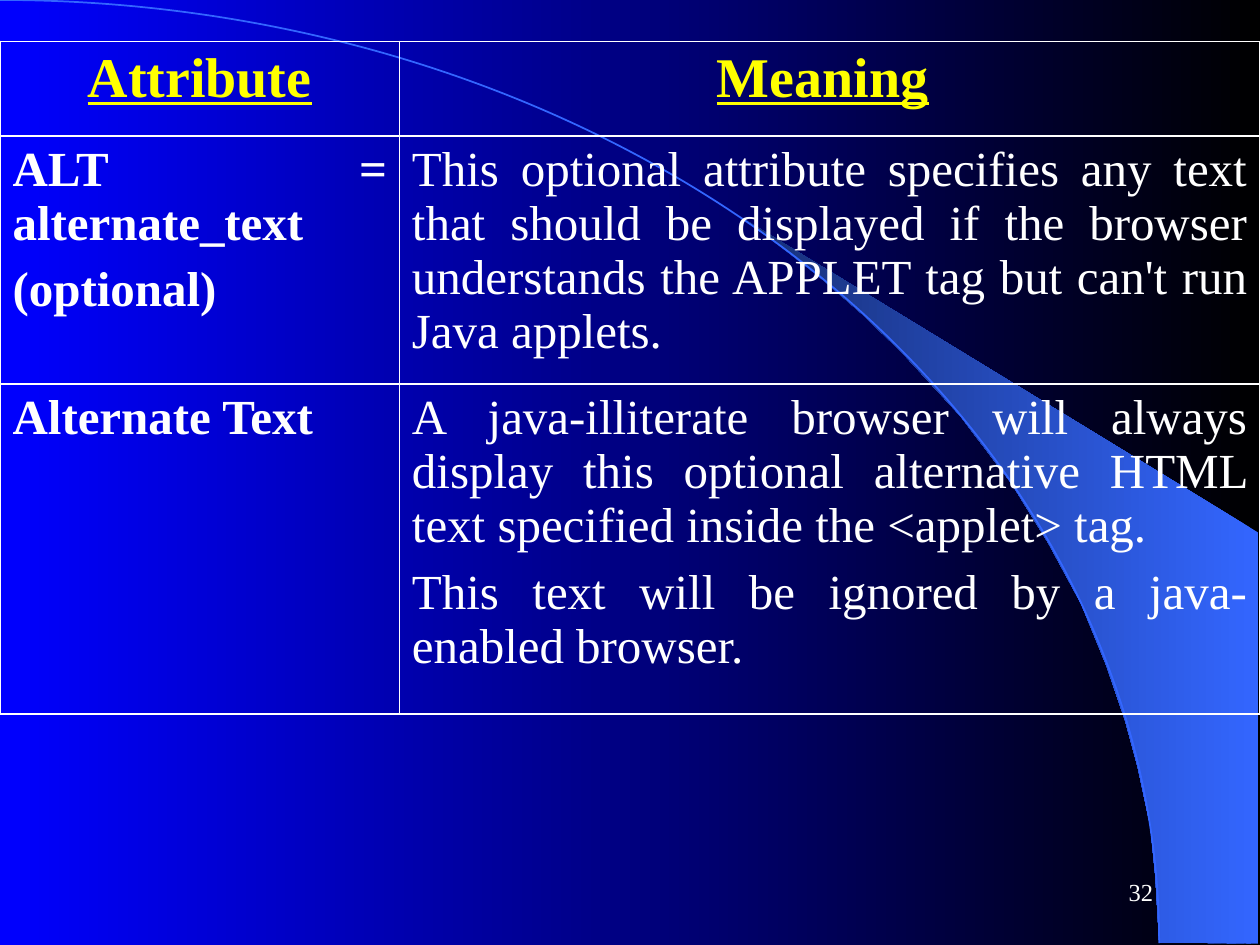
from dataclasses import dataclass

from lxml import etree
from pptx import Presentation
from pptx.dml.color import RGBColor
from pptx.enum.shapes import MSO_SHAPE
from pptx.enum.text import MSO_ANCHOR, PP_ALIGN
from pptx.oxml.ns import qn
from pptx.util import Inches, Pt

ARC = MSO_SHAPE.ARC
MIDDLE = MSO_ANCHOR.MIDDLE
CENTER, JUSTIFY, RIGHT = PP_ALIGN.CENTER, PP_ALIGN.JUSTIFY, PP_ALIGN.RIGHT

FONT = "Times New Roman"
WHITE, YELLOW, BLACK = "FFFFFF", "FFFF00", "000000"
BLUE, SKY, NAVY = "0000FF", "3366FF", "172F75"
OUTER, INNER = 1.08, 0.45

COLUMN_WIDTHS = (3.17, 6.83)
ROW_HEIGHTS = (0.75, 1.97, 2.62)
SWOOSH = (
    (9.2, 7.48), (9.99, 7.49), (9.99, 4.23), (5.89, 1.73), (6.24, 1.99),
    (6.53, 2.22), (6.85, 2.5), (7.16, 2.8), (7.62, 3.3), (8.03, 3.84),
    (8.32, 4.31), (8.58, 4.79), (8.78, 5.28), (8.93, 5.72), (9.03, 6.09),
    (9.13, 6.56), (9.17, 6.96),
)


@dataclass(frozen=True)
class Style:
    size: float
    color: str = WHITE
    bold: bool = False
    underline: bool = False
    align: PP_ALIGN = JUSTIFY
    space_before: float = 7


HEADING = Style(32, YELLOW, True, True, CENTER, 8)
HEADING_END = Style(32, WHITE, True, False, CENTER, 8)
TERM = Style(28, bold=True)
MEANING = Style(28)
PAGE_NUMBER = Style(14, align=RIGHT, space_before=0)


@dataclass(frozen=True)
class Span:
    text: str
    style: Style


Paragraphs = tuple[tuple[Span, ...], ...]


def lines(style: Style, *texts: str) -> Paragraphs:
    return tuple((Span(text, style),) for text in texts)


ROWS: tuple[tuple[Paragraphs, Paragraphs], ...] = (
    (
        lines(HEADING, "Attribute"),
        ((Span("Meaning", HEADING), Span(" ", HEADING_END)),),
    ),
    (
        lines(TERM, "ALT = alternate_text", "(optional)"),
        lines(
            MEANING,
            "This optional attribute specifies any text that should be displayed "
            "if the browser understands the APPLET tag but can't run Java applets. ",
        ),
    ),
    (
        lines(TERM, "Alternate Text"),
        lines(
            MEANING,
            "A java-illiterate browser will always display this optional "
            "alternative HTML text specified inside the <applet> tag.",
            "This text will be ignored by a java-enabled browser.",
        ),
    ),
)


def rgb(color: str) -> RGBColor:
    return RGBColor.from_string(color)


def fill_gradient(fill, start: str, end: str) -> None:
    fill.gradient()
    fill.gradient_angle = 180
    for stop, color in zip(fill.gradient_stops, (start, end)):
        stop.color.rgb = rgb(color)


def write(frame, paragraphs: Paragraphs) -> None:
    for index, spans in enumerate(paragraphs):
        paragraph = frame.add_paragraph() if index else frame.paragraphs[0]
        paragraph.alignment = spans[0].style.align
        paragraph.space_before = Pt(spans[0].style.space_before)
        for span in spans:
            run = paragraph.add_run()
            run.text = span.text
            run.font.name = FONT
            run.font.size = Pt(span.style.size)
            run.font.bold = span.style.bold
            run.font.underline = span.style.underline
            run.font.color.rgb = rgb(span.style.color)


def add_border(cell, side: str, width: float) -> None:
    properties = cell._tc.get_or_add_tcPr()
    border = etree.SubElement(properties, qn(f"a:ln{side}"), w=str(Pt(width)))
    solid = etree.SubElement(border, qn("a:solidFill"))
    etree.SubElement(solid, qn("a:srgbClr"), val=WHITE)


def draw_swoosh(slide) -> None:
    start, *rest = [(Inches(x), Inches(y)) for x, y in SWOOSH]
    builder = slide.shapes.build_freeform(*start)
    builder.add_line_segments(rest, close=True)
    swoosh = builder.convert_to_shape()
    swoosh.shadow.inherit = False
    fill_gradient(swoosh.fill, SKY, NAVY)
    swoosh.line.fill.background()


def draw_arc(slide) -> None:
    arc = slide.shapes.add_shape(
        ARC, Inches(-9.2), Inches(0), Inches(18.4), Inches(14.97)
    )
    arc.shadow.inherit = False
    arc.fill.background()
    arc.line.color.rgb = rgb(SKY)
    arc.line.width = Pt(1)


def draw_attributes(slide) -> None:
    attributes = slide.shapes.add_table(
        len(ROWS), len(COLUMN_WIDTHS), Inches(0), Inches(0.33),
        Inches(sum(COLUMN_WIDTHS)), Inches(sum(ROW_HEIGHTS)),
    ).table
    attributes.first_row = False
    attributes.horz_banding = False
    for column, width in zip(attributes.columns, COLUMN_WIDTHS):
        column.width = Inches(width)
    for row, height, entries in zip(attributes.rows, ROW_HEIGHTS, ROWS):
        row.height = Inches(height)
        for index, (cell, paragraphs) in enumerate(zip(row.cells, entries)):
            left, right = (INNER, OUTER) if index else (OUTER, INNER)
            for side, width in zip("LRTB", (left, right, OUTER, OUTER)):
                add_border(cell, side, width)
            cell.fill.background()
            write(cell.text_frame, paragraphs)


def draw_page_number(slide) -> None:
    frame = slide.shapes.add_textbox(
        Inches(7.17), Inches(6.83), Inches(2.08), Inches(0.5)
    ).text_frame
    frame.word_wrap = True
    frame.vertical_anchor = MIDDLE
    write(frame, lines(PAGE_NUMBER, "32"))


def main() -> None:
    presentation = Presentation()
    presentation.slide_width = Inches(10)
    presentation.slide_height = Inches(7.5)
    slide = presentation.slides.add_slide(presentation.slide_layouts[6])
    fill_gradient(slide.background.fill, BLACK, BLUE)
    draw_swoosh(slide)
    draw_arc(slide)
    draw_attributes(slide)
    draw_page_number(slide)
    presentation.save("out.pptx")


if __name__ == "__main__":
    main()
